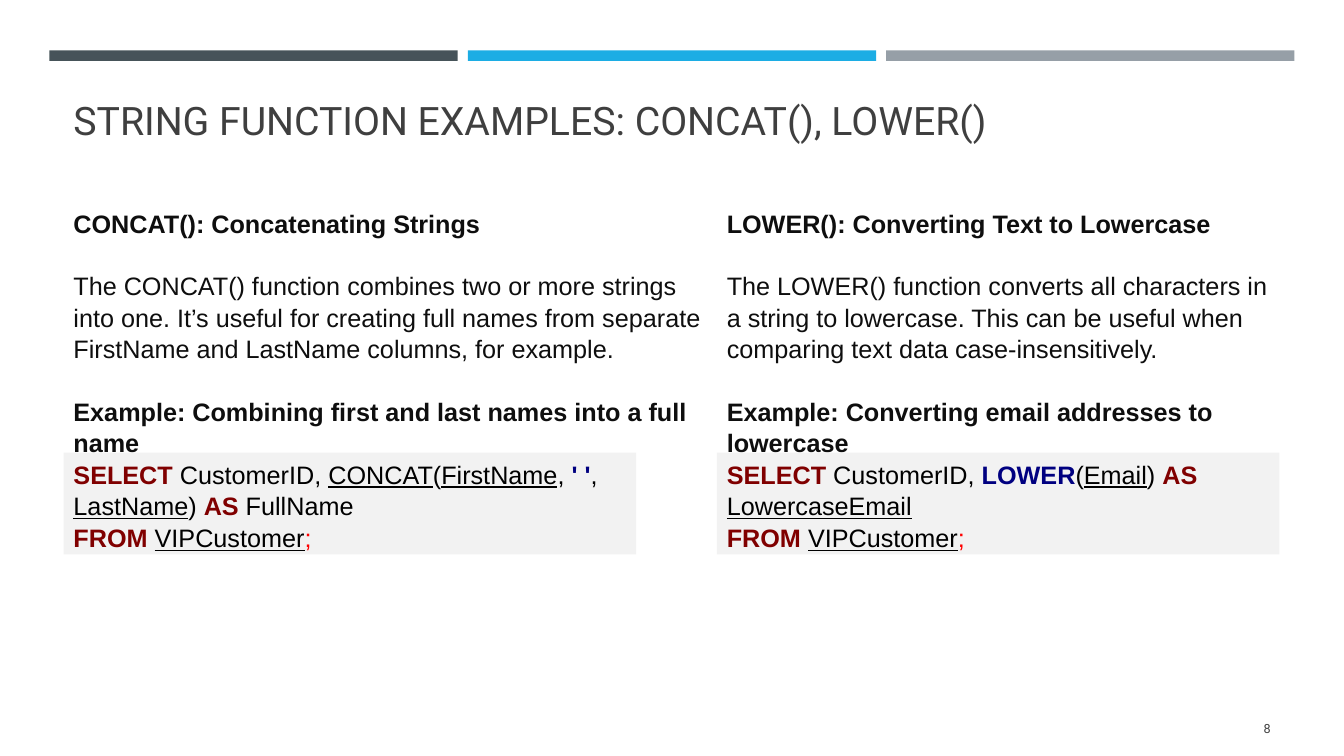
from pptx import Presentation
from pptx.dml.color import RGBColor
from pptx.enum.shapes import MSO_SHAPE
from pptx.enum.text import MSO_ANCHOR, PP_ALIGN
from pptx.util import Inches, Pt

RECT = MSO_SHAPE.RECTANGLE
TOP, MIDDLE, BOTTOM = MSO_ANCHOR.TOP, MSO_ANCHOR.MIDDLE, MSO_ANCHOR.BOTTOM
LEFT, RIGHT = PP_ALIGN.LEFT, PP_ALIGN.RIGHT

WIDTH, HEIGHT = Inches(13.33), Inches(7.5)
BODY_LINE = 1.05
BLANK_LINE = Pt(21.7)

BAR_LEFT, BAR_PITCH, BAR_WIDTH = 3.68, 31.13, 30.38
BAR_COLORS = ["465359", "1CADE4", "969FA7"]

STYLES = {
    "title": {"name": "Roboto", "size": Pt(28), "color": "3F3F3F"},
    "number": {"name": "Roboto", "size": Pt(9), "color": "3F3F3F"},
    "heading": {"name": "Arial", "size": Pt(18), "color": "0E0E0E", "bold": True},
    "body": {"name": "Arial", "size": Pt(18), "color": "0E0E0E"},
    "keyword": {"name": "Arial", "size": Pt(18), "color": "800000", "bold": True},
    "plain": {"name": "Arial", "size": Pt(18), "color": "000000"},
    "ident": {"name": "Arial", "size": Pt(18), "color": "000000", "underline": True},
    "literal": {"name": "Arial", "size": Pt(18), "color": "000080", "bold": True},
    "end": {"name": "Arial", "size": Pt(18), "color": "FF0000"},
}

FROM_LINE = [("FROM ", "keyword"), ("VIPCustomer", "ident"), (";", "end")]

COLUMNS = [
    {
        "left": 4.73, "text_width": 48.61, "code_width": 42.61,
        "text": [
            [("CONCAT(): Concatenating Strings", "heading")],
            [("The CONCAT() function combines two or more strings into one. "
              "It’s useful for creating full names from separate FirstName "
              "and LastName columns, for example.", "body")],
            [("Example: Combining first and last names into a full name", "heading")],
        ],
        "code": [
            [("SELECT", "keyword"), (" CustomerID, ", "plain"), ("CONCAT", "ident"),
             ("(", "plain"), ("FirstName", "ident"), (", ", "plain"),
             ("' '", "literal"), (", ", "plain"), ("LastName", "ident"),
             (") ", "plain"), ("AS", "keyword"), (" FullName", "plain")],
            FROM_LINE,
        ],
    },
    {
        "left": 53.34, "text_width": 42.99, "code_width": 41.86,
        "text": [
            [("LOWER(): Converting Text to Lowercase", "heading")],
            [("The LOWER() function converts all characters in a string to "
              "lowercase. This can be useful when comparing text data "
              "case-insensitively.", "body")],
            [("Example: Converting email addresses to lowercase", "heading")],
        ],
        "code": [
            [("SELECT", "keyword"), (" CustomerID, ", "plain"), ("LOWER", "literal"),
             ("(", "plain"), ("Email", "ident"), (") ", "plain"),
             ("AS ", "keyword"), ("LowercaseEmail", "ident")],
            FROM_LINE,
        ],
    },
]


def rgb(value):
    return RGBColor.from_string(value)


def place(left, top, width, height):
    return (int(WIDTH * left / 100), int(HEIGHT * top / 100),
            int(WIDTH * width / 100), int(HEIGHT * height / 100))


def format_run(r, style):
    for key, value in STYLES[style].items():
        if key == "color":
            r.font.color.rgb = rgb(value)
        else:
            setattr(r.font, key, value)


def fill_text(sp, paragraphs, anchor=TOP, align=LEFT, spacing=1.0, gap=0):
    tf = sp.text_frame
    tf.word_wrap = True
    tf.vertical_anchor = anchor
    for i, runs in enumerate(paragraphs):
        p = tf.add_paragraph() if i else tf.paragraphs[0]
        p.alignment = align
        p.line_spacing = spacing
        p.space_before = gap if i else 0
        for text, style in runs:
            r = p.add_run()
            r.text = text
            format_run(r, style)


def add_text(s, box, paragraphs, **layout):
    fill_text(s.shapes.add_textbox(*place(*box)), paragraphs, **layout)


def add_rect(s, box, color):
    sp = s.shapes.add_shape(RECT, *place(*box))
    sp.shadow.inherit = False
    sp.fill.solid()
    sp.fill.fore_color.rgb = rgb(color)
    sp.line.fill.background()
    return sp


def add_column(s, column):
    left = column["left"]
    add_text(s, (left, 26.67, column["text_width"], 29.6), column["text"],
             spacing=BODY_LINE, gap=BLANK_LINE)
    panel = add_rect(s, (left, 59.87, column["code_width"], 13.47), "F2F2F2")
    fill_text(panel, column["code"], spacing=BODY_LINE)


def main():
    prs = Presentation()
    prs.slide_width, prs.slide_height = WIDTH, HEIGHT
    s = prs.slides.add_slide(prs.slide_layouts[6])
    for i, color in enumerate(BAR_COLORS):
        add_rect(s, (BAR_LEFT + i * BAR_PITCH, 6.67, BAR_WIDTH, 1.4), color)
    add_text(s, (4.73, 10.67, 90.47, 8.93),
             [[("STRING FUNCTION EXAMPLES: CONCAT(), LOWER()", "title")]],
             anchor=BOTTOM)
    add_text(s, (86.65, 93.73, 8.63, 5.33), [[("8", "number")]],
             anchor=MIDDLE, align=RIGHT)
    for column in COLUMNS:
        add_column(s, column)
    prs.save("out.pptx")


if __name__ == "__main__":
    main()
